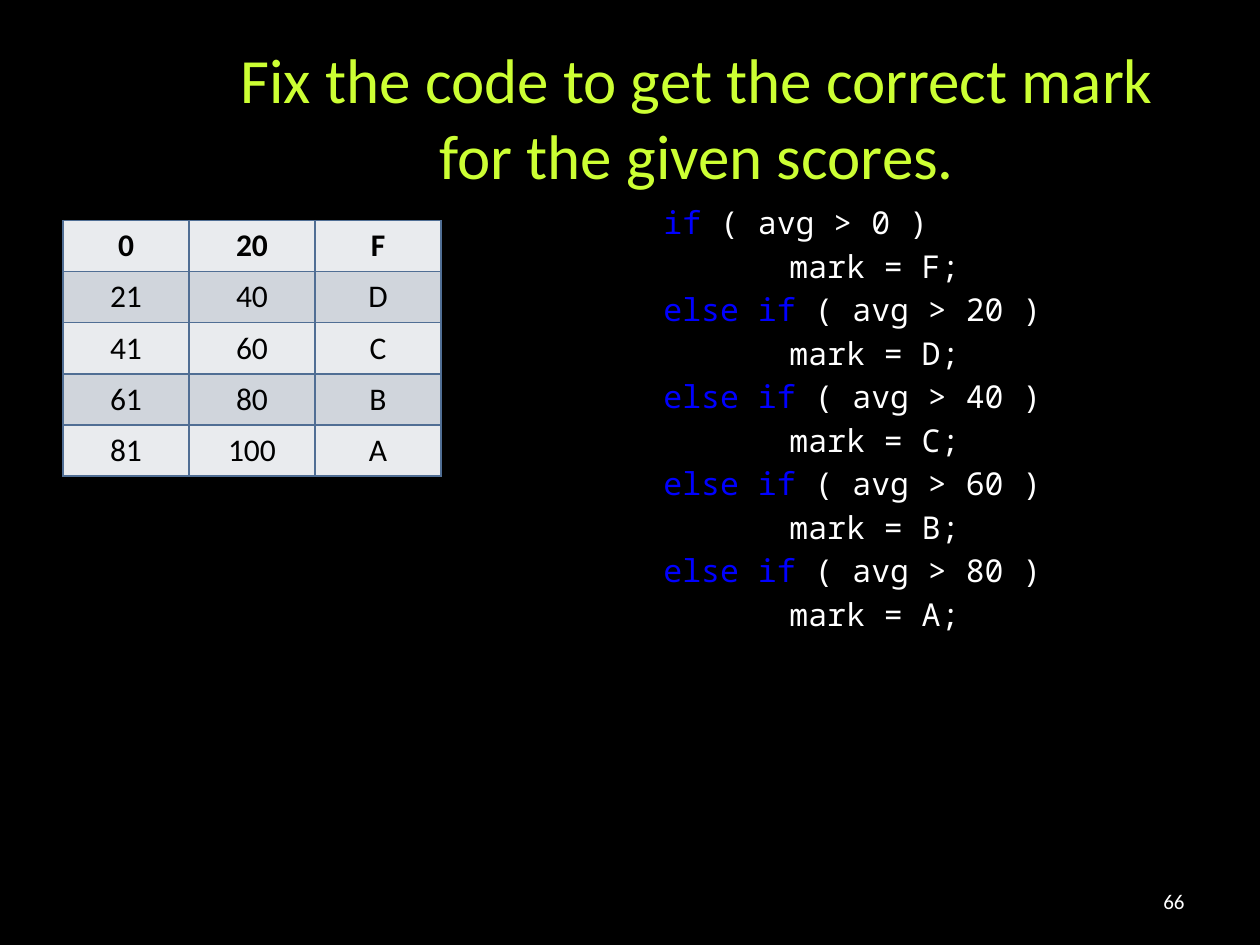
from lxml.etree import SubElement
from pptx import Presentation
from pptx.dml.color import RGBColor
from pptx.enum.text import MSO_ANCHOR, PP_ALIGN
from pptx.oxml.ns import qn
from pptx.util import Pt

BLACK = RGBColor(0x00, 0x00, 0x00)
WHITE = RGBColor(0xFF, 0xFF, 0xFF)
LIME = RGBColor(0xCC, 0xFF, 0x33)
BLUE = RGBColor(0x00, 0x00, 0xFF)
BORDER = RGBColor(0x50, 0x6E, 0x94)
BANDS = (RGBColor(0xE9, 0xEB, 0xEE), RGBColor(0xD0, 0xD5, 0xDC))

# Lowest score, highest score, mark
GRADES = [(0, 20, "F"), (21, 40, "D"), (41, 60, "C"), (61, 80, "B"), (81, 100, "A")]
THRESHOLDS = [(0, "F"), (20, "D"), (40, "C"), (60, "B"), (80, "A")]


class SlideBuilder:
    body_font = "Calibri"
    code_font = "Noto Sans Mono"
    code_size = 18
    code_line = 24.84
    tab_width = 72

    def __init__(self, slide):
        self.slide = slide
        background = slide.background.fill
        background.solid()
        background.fore_color.rgb = BLACK

    def style(self, para, size, color, name=body_font, bold=False):
        font = para.font
        font.name, font.size, font.bold = name, Pt(size), bold
        font.color.rgb = color

    def frame(self, left, top, width, height, anchor=MSO_ANCHOR.MIDDLE):
        box = self.slide.shapes.add_textbox(Pt(left), Pt(top), Pt(width), Pt(height))
        frame = box.text_frame
        frame.word_wrap = True
        frame.vertical_anchor = anchor
        return frame

    def text(self, words, place, size, color, align):
        para = self.frame(*place).paragraphs[0]
        para.text = words
        para.alignment = align
        self.style(para, size, color)

    def border(self, cell):
        """Draw a thin line on all four sides; call before filling the cell."""
        properties = cell._tc.get_or_add_tcPr()
        for side in ("a:lnL", "a:lnR", "a:lnT", "a:lnB"):
            line = SubElement(properties, qn(side), w=str(Pt(1)))
            fill = SubElement(line, qn("a:solidFill"))
            SubElement(fill, qn("a:srgbClr"), val=str(BORDER))

    def table(self, rows, left, top, column_width, row_height):
        columns = len(rows[0])
        table = self.slide.shapes.add_table(
            len(rows), columns, Pt(left), Pt(top),
            Pt(column_width * columns), Pt(row_height * len(rows))).table
        table.first_row = table.horz_banding = False
        for row_index, row in enumerate(rows):
            for column_index, value in enumerate(row):
                cell = table.cell(row_index, column_index)
                self.border(cell)
                cell.fill.solid()
                cell.fill.fore_color.rgb = BANDS[row_index % 2]
                para = cell.text_frame.paragraphs[0]
                para.text = str(value)
                para.alignment = PP_ALIGN.CENTER
                self.style(para, 18, BLACK, bold=row_index == 0)

    def tab_stops(self, para, count):
        """Add evenly spaced tab stops; call after line spacing, before fonts."""
        stops = SubElement(para._p.get_or_add_pPr(), qn("a:tabLst"))
        for number in range(1, count + 1):
            SubElement(stops, qn("a:tab"), pos=str(Pt(self.tab_width * number)), algn="l")

    def code(self, lines, place):
        """Write lines of (indent, keyword, rest) with coloured keywords."""
        frame = self.frame(*place, anchor=MSO_ANCHOR.TOP)
        for index, (indent, keyword, rest) in enumerate(lines):
            para = frame.add_paragraph() if index else frame.paragraphs[0]
            para.line_spacing = Pt(self.code_line)
            self.tab_stops(para, 2)
            self.style(para, self.code_size, WHITE, self.code_font)
            para.add_run().text = "\t" * indent
            if keyword:
                span = para.add_run()
                span.text = keyword
                span.font.color.rgb = BLUE
            para.add_run().text = rest


def code_lines():
    for index, (limit, mark) in enumerate(THRESHOLDS):
        yield 1, "else if" if index else "if", f" ( avg > {limit} )"
        yield 2, "", f"mark = {mark};"


def main():
    deck = Presentation()
    deck.slide_width, deck.slide_height = Pt(720), Pt(540)
    page = SlideBuilder(deck.slides.add_slide(deck.slide_layouts[6]))
    page.text("Fix the code to get the correct mark for the given scores.",
              (112.5, 21.6, 571.5, 90), 36, LIME, PP_ALIGN.CENTER)
    page.text("66", (516, 500.5, 168, 28.75), 12, WHITE, PP_ALIGN.RIGHT)
    page.table(GRADES, 36, 126, 72, 29.2)
    page.code(code_lines(), (300, 109.5, 378, 257.6))
    deck.save("out.pptx")


if __name__ == "__main__":
    main()
